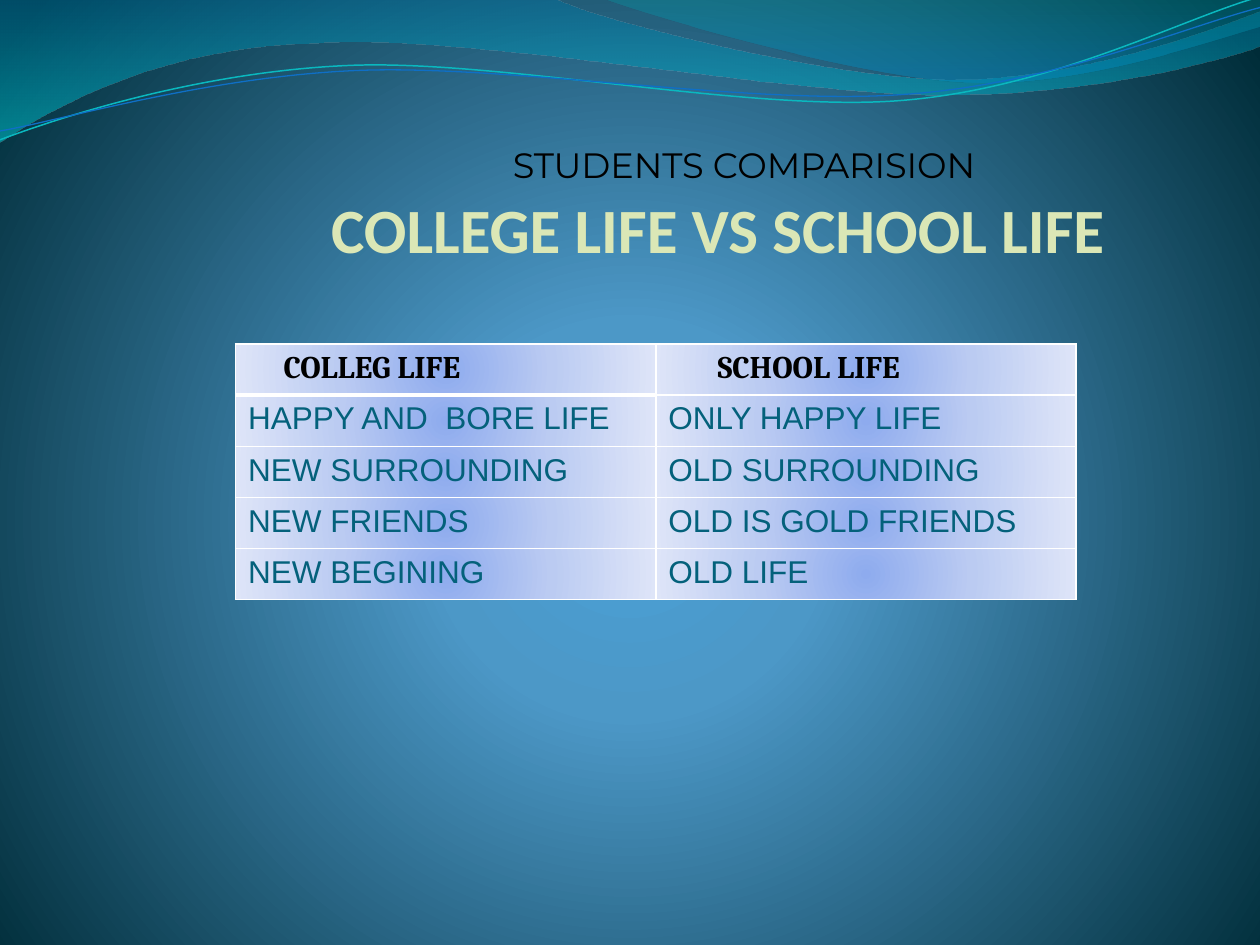
"""Build a slide comparing college life and school life under a wave banner."""
from lxml import etree
from pptx import Presentation
from pptx.dml.color import RGBColor
from pptx.enum.text import MSO_ANCHOR, PP_ALIGN
from pptx.oxml import parse_xml
from pptx.oxml.ns import nsdecls, qn
from pptx.util import Inches, Pt

BOTTOM, TOP = MSO_ANCHOR.BOTTOM, MSO_ANCHOR.TOP
RIGHT = PP_ALIGN.RIGHT
HEX = {
    "glow": "4AA0D6", "sky": "4C98C7", "deep": "002C38",
    "blue": "0074A1", "aqua": "00C6CF", "teal": "00A1A9", "azure": "008BBF",
    "cyan": "0AB8BF", "royal": "0F6FC6",
    "lime": "DBE7B6", "black": "000000", "ink": "04617B", "white": "FFFFFF",
    "core": "8EABEE", "mid": "BBCBF2", "rim": "DEE5F8",
}


def paint(node, stops, shade):
    """Swap the solid fill in node for a gradient of (place, colour, opacity)."""
    marks = ""
    for place, name, alpha in stops:
        veil = f'<a:alpha val="{alpha * 1000}"/>' if alpha < 100 else ""
        marks += (f'<a:gs pos="{place * 1000}"><a:srgbClr val="{HEX[name]}">'
                  f"{veil}</a:srgbClr></a:gs>")
    old = node.find(qn("a:solidFill"))
    node.replace(old, parse_xml(
        f'<a:gradFill {nsdecls("a")} rotWithShape="1">'
        f"<a:gsLst>{marks}</a:gsLst>{shade}</a:gradFill>"))


def trace(parts, close):
    """Draw a freeform from points (2 numbers) and cubic curves (6 numbers)."""
    spots = [(Inches(part[i]), Inches(part[i + 1]))
             for part in parts for i in range(0, len(part), 2)]
    pen = slide.shapes.build_freeform(*spots[0])
    pen.add_line_segments(spots[1:], close=close)
    shape = pen.convert_to_shape()
    shape.shadow.inherit = False
    legs = iter(list(shape.element.iter(qn("a:lnTo"))))
    for part in parts[1:]:
        leg = next(legs)
        if len(part) == 6:
            leg.tag = qn("a:cubicBezTo")
            for extra in (next(legs), next(legs)):
                leg.append(extra[0])
                extra.getparent().remove(extra)
    return shape


deck = Presentation()
deck.slide_width, deck.slide_height = Inches(10), Inches(7.5)
slide = deck.slides.add_slide(deck.slide_layouts[6])

slide.background.fill.solid()
paint(slide.element.find(".//" + qn("p:bgPr")),
      [(0, "glow", 100), (25, "sky", 100), (100, "deep", 100)],
      '<a:path path="circle">'
      '<a:fillToRect l="10000" t="110000" r="10000" b="100000"/></a:path>')

waves = [
    ([(0, 0), (4.4, -0.01), (4.76, 0.17, 6.64, 0.63, 7.58, 0.63),
      (8.53, 0.63, 9.58, 0.26, 10, 0.09), (10.01, 0.36),
      (9.83, 0.44, 8.7, 0.76, 7.46, 0.75), (6.22, 0.75, 3.82, 0.28, 2.57, 0.34),
      (1.29, 0.36, 0.46, 0.83, -0.01, 1.13)],
     [(0, "blue", 45), (100, "aqua", 55)]),
    ([(4.79, -0.01), (5.09, 0.11, 6.82, 0.62, 7.69, 0.65),
      (8.56, 0.69, 9.61, 0.32, 10, 0.21), (10, 0)],
     [(0, "teal", 30), (80, "azure", 45)]),
]
for parts, stops in waves:
    wave = trace(parts, True)
    wave.line.fill.background()
    wave.fill.solid()
    paint(wave.element.spPr, stops, '<a:lin ang="5400000" scaled="1"/>')

lines = [
    ([(0, 1.11), (0.48, 0.93, 1.58, 0.57, 2.77, 0.52),
      (3.95, 0.47, 5.93, 0.89, 7.13, 0.8), (8.33, 0.71, 9.38, 0.15, 9.98, -0.02)],
     "cyan", 0.85),
    ([(0, 1.04), (0.47, 0.96, 1.64, 0.61, 2.83, 0.56),
      (4.03, 0.51, 5.97, 0.84, 7.17, 0.75), (8.36, 0.67, 9.41, 0.21, 10, 0.06)],
     "royal", 0.75),
]
for parts, name, width in lines:
    curve = trace(parts, False)
    curve.fill.background()
    curve.line.color.rgb = RGBColor.from_string(HEX[name])
    curve.line.width = Pt(width)

heads = [
    ("COLLEGE LIFE VS SCHOOL LIFE", (1.87, 0.31, 7.03, 1.8), BOTTOM,
     0, 0.13, "Calibri", 36, "lime", True),
    ("STUDENTS COMPARISION", (3.67, 1.09, 4.14, 0.39), TOP,
     0.05, 0.07, "Montserrat", 20.1, "black", False),
]
for text, place, anchor, pad, gap, face, size, name, bold in heads:
    frame = slide.shapes.add_textbox(*map(Inches, place)).text_frame
    frame.word_wrap = True
    frame.vertical_anchor = anchor
    frame.margin_left, frame.margin_right = 0, Inches(gap)
    frame.margin_top = frame.margin_bottom = Inches(pad)
    para = frame.paragraphs[0]
    para.text, para.alignment = text, RIGHT
    para.font.name, para.font.size, para.font.bold = face, Pt(size), bold
    para.font.color.rgb = RGBColor.from_string(HEX[name])

rows = [
    ("COLLEG LIFE", "SCHOOL LIFE"),
    ("HAPPY AND  BORE LIFE", "ONLY HAPPY LIFE"),
    ("NEW SURROUNDING", "OLD SURROUNDING"),
    ("NEW FRIENDS", "OLD IS GOLD FRIENDS"),
    ("NEW BEGINING", "OLD LIFE"),
]
table = slide.shapes.add_table(
    len(rows), 2, Inches(1.87), Inches(2.73), Inches(6.67), Inches(2.03)).table
table.first_row = table.horz_banding = False
for r, row in enumerate(rows):
    for c, text in enumerate(row):
        cell = table.cell(r, c)
        head = r == 0
        if head:
            cell.margin_left = Inches((0.38, 0.49)[c])
        para = cell.text_frame.paragraphs[0]
        para.text = text
        para.font.name = "Cambria" if head else "Arial"
        para.font.size, para.font.bold = Pt(18), head
        para.font.color.rgb = RGBColor.from_string(HEX["black" if head else "ink"])
        cell.fill.solid()
        props = cell._tc.get_or_add_tcPr()
        paint(props, [(0, "core", 100), (50, "mid", 100), (100, "rim", 100)],
              '<a:path path="circle">'
              '<a:fillToRect l="50000" t="50000" r="50000" b="50000"/></a:path>')
        for i, side in enumerate(("lnL", "lnR", "lnT", "lnB")):
            thick = (r, c, side) in ((0, 0, "lnB"), (1, 0, "lnT"))
            edge = etree.Element(qn("a:" + side), w=str(Pt(3 if thick else 1)))
            ink = etree.SubElement(edge, qn("a:solidFill"))
            etree.SubElement(ink, qn("a:srgbClr"), val=HEX["white"])
            props.insert(i, edge)

deck.save("out.pptx")
